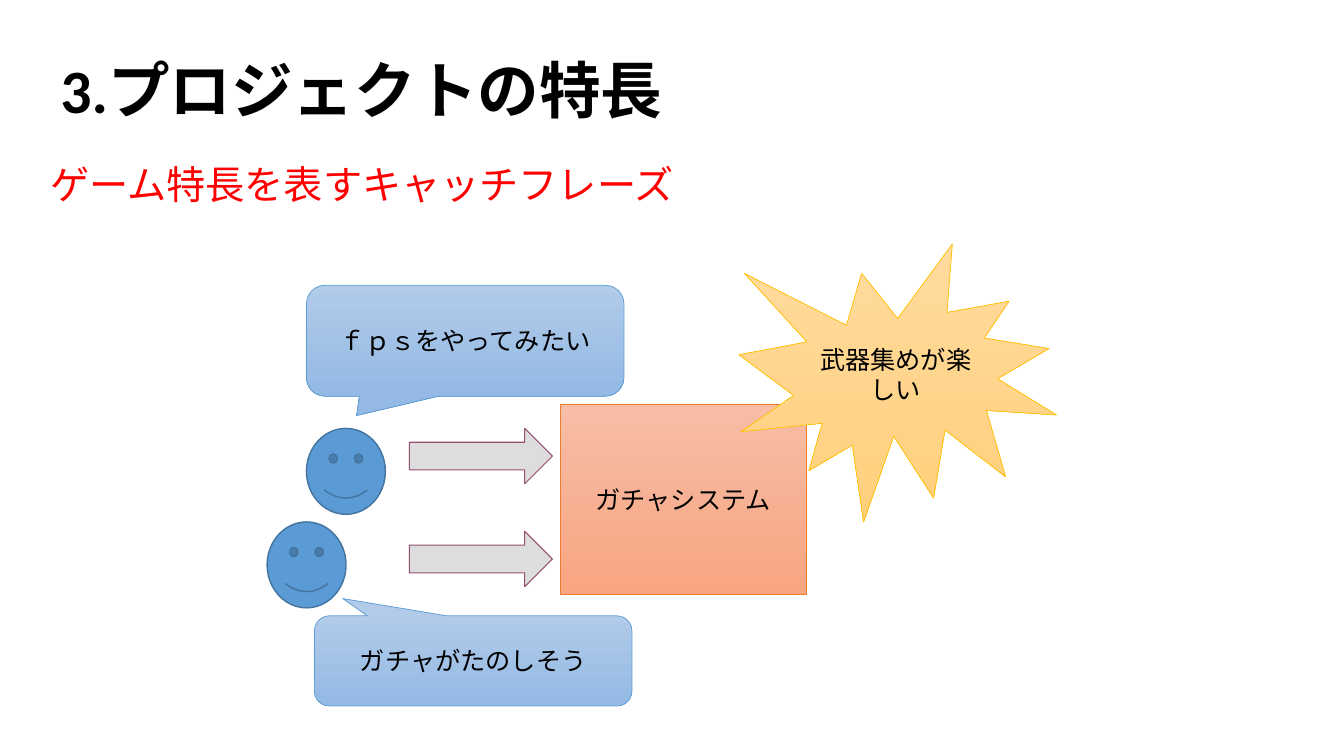
from pptx import Presentation
from pptx.dml.color import RGBColor
from pptx.enum.shapes import MSO_SHAPE
from pptx.enum.text import MSO_ANCHOR, PP_ALIGN
from pptx.util import Pt

BLACK = RGBColor(0x00, 0x00, 0x00)
RED = RGBColor(0xFF, 0x00, 0x00)
GREY = RGBColor(0xDD, 0xDD, 0xDD)
PLUM = RGBColor(0x95, 0x4F, 0x72)
BLUE = RGBColor(0x5B, 0x9B, 0xD5)
DARK_BLUE = RGBColor(0x43, 0x73, 0x9E)
ORANGE = RGBColor(0xED, 0x7D, 0x31)
GOLD = RGBColor(0xFF, 0xC0, 0x00)
BLUE_SHADES = (RGBColor(0xB1, 0xCB, 0xE9), RGBColor(0x93, 0xB9, 0xE4))
ORANGE_SHADES = (RGBColor(0xF7, 0xBD, 0xA5), RGBColor(0xF8, 0xA5, 0x82))
GOLD_SHADES = (RGBColor(0xFF, 0xDB, 0x9E), RGBColor(0xFF, 0xD0, 0x7C))


class SlideBuilder:
    """Holds the font and the current slide, and adds elements to it."""

    font = "Calibri"

    def __init__(self, slide):
        """Keep the slide to draw on."""
        self.slide = slide

    def set_text(self, frame, text, size, color, align, anchor, bold=False):
        """Put one formatted paragraph in a text frame and return it."""
        frame.word_wrap = True
        frame.vertical_anchor = anchor
        paragraph = frame.paragraphs[0]
        paragraph.alignment = align
        run = paragraph.add_run()
        run.text = text
        run.font.name, run.font.size, run.font.bold = self.font, Pt(size), bold
        run.font.color.rgb = color
        return paragraph

    def title(self, text, box):
        """Place and fill the title placeholder."""
        title = self.slide.shapes.title
        title.left, title.top, title.width, title.height = map(Pt, box)
        paragraph = self.set_text(title.text_frame, text, 44, BLACK,
                                  PP_ALIGN.LEFT, MSO_ANCHOR.MIDDLE, bold=True)
        paragraph.line_spacing = 0.9

    def catchphrase(self, text, box):
        """Add the red line under the title."""
        frame = self.slide.shapes.add_textbox(*map(Pt, box)).text_frame
        paragraph = self.set_text(frame, text, 28, RED,
                                  PP_ALIGN.LEFT, MSO_ANCHOR.TOP)
        paragraph.line_spacing = 0.9
        paragraph.space_before = Pt(10)

    def shape(self, kind, box, fill, line, width, text="", tail=None):
        """Add a shape with a plain fill or a pair of vertical shades."""
        shape = self.slide.shapes.add_shape(kind, *map(Pt, box))
        shape.shadow.inherit = False
        shape.line.color.rgb = line
        shape.line.width = Pt(width)
        if isinstance(fill, RGBColor):
            shape.fill.solid()
            shape.fill.fore_color.rgb = fill
        else:
            shape.fill.gradient()
            shape.fill.gradient_angle = 270
            for position, (stop, shade) in enumerate(
                    zip(shape.fill.gradient_stops, fill)):
                stop.position = position
                stop.color.rgb = shade
        if tail:
            shape.adjustments[0], shape.adjustments[1] = tail
        if text:
            self.set_text(shape.text_frame, text, 18, BLACK,
                          PP_ALIGN.CENTER, MSO_ANCHOR.MIDDLE)

    def arrow(self, top):
        """Add a grey arrow that leads to the system box."""
        self.shape(MSO_SHAPE.RIGHT_ARROW, (292.4, top, 102.2, 39.6),
                   GREY, PLUM, 0.75)

    def bubble(self, text, box, tail):
        """Add a speech bubble."""
        self.shape(MSO_SHAPE.ROUNDED_RECTANGULAR_CALLOUT, box,
                   BLUE_SHADES, BLUE, 0.5, text, tail)

    def player(self, left, top):
        """Add a smiling player."""
        self.shape(MSO_SHAPE.SMILEY_FACE, (left, top, 56.4, 61.4),
                   BLUE, DARK_BLUE, 1)


prs = Presentation()
prs.slide_width, prs.slide_height = Pt(960), Pt(540)
page = SlideBuilder(prs.slides.add_slide(prs.slide_layouts[5]))

page.title("3.プロジェクトの特長", (36, 21.6, 648, 90))
page.catchphrase("ゲーム特長を表すキャッチフレーズ", (28.8, 114.5, 900, 72))
for arrow_top in (306, 379.5):
    page.arrow(arrow_top)
page.bubble("ｆｐｓをやってみたい", (218.9, 203.8, 226.8, 79.2), (-0.342, 0.675))
page.bubble("ガチャがたのしそう", (224.6, 439.9, 226.8, 64.4), (-0.411, -0.692))
page.shape(MSO_SHAPE.FLOWCHART_PROCESS, (400.3, 288.9, 175.7, 135.8),
           ORANGE_SHADES, ORANGE, 0.5, "ガチャシステム")
page.shape(MSO_SHAPE.EXPLOSION1, (527.8, 174.2, 226.8, 198.7),
           GOLD_SHADES, GOLD, 0.5, "武器集めが楽しい")
for player_left, player_top in ((218.9, 306), (190.8, 372.8)):
    page.player(player_left, player_top)

prs.save("out.pptx")
